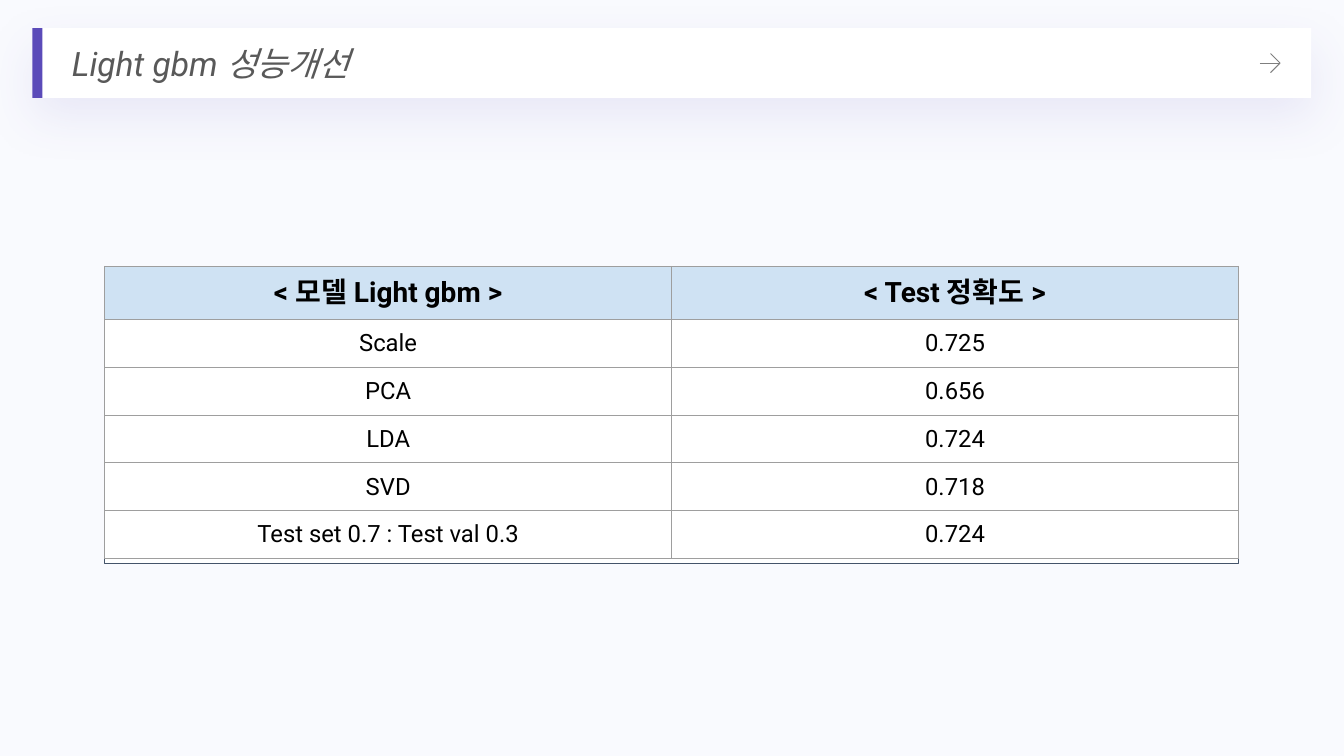
from lxml import etree
from pptx import Presentation
from pptx.dml.color import RGBColor
from pptx.enum.shapes import MSO_CONNECTOR, MSO_SHAPE
from pptx.enum.text import MSO_ANCHOR, MSO_AUTO_SIZE, PP_ALIGN
from pptx.oxml import parse_xml
from pptx.oxml.ns import nsdecls, qn
from pptx.util import Cm, Pt

RECTANGLE = MSO_SHAPE.RECTANGLE
STRAIGHT = MSO_CONNECTOR.STRAIGHT
MIDDLE = MSO_ANCHOR.MIDDLE
NO_AUTOFIT = MSO_AUTO_SIZE.NONE
LEFT, CENTER = PP_ALIGN.LEFT, PP_ALIGN.CENTER

FONT = "Roboto"
BACKGROUND = RGBColor(0xF9, 0xFA, 0xFE)
WHITE = RGBColor(0xFF, 0xFF, 0xFF)
BLACK = RGBColor(0x00, 0x00, 0x00)
PURPLE = RGBColor(0x5B, 0x4B, 0xB9)
TITLE_GRAY = RGBColor(0x59, 0x59, 0x59)
ARROW_GRAY = RGBColor(0x7F, 0x7F, 0x7F)
BORDER_GRAY = RGBColor(0x9E, 0x9E, 0x9E)
HEADER_BLUE = RGBColor(0xCF, 0xE2, 0xF3)
SLATE = RGBColor(0x44, 0x54, 0x6A)

RESULTS = [
    ("< 모델 Light gbm >", "< Test 정확도 >"),
    ("Scale", "0.725"),
    ("PCA", "0.656"),
    ("LDA", "0.724"),
    ("SVD", "0.718"),
    ("Test set 0.7 : Test val 0.3", "0.724"),
]


def write_text(frame, text, size, color=BLACK, bold=False, italic=False, align=CENTER):
    """Write one formatted paragraph into a text frame."""
    paragraph = frame.paragraphs[0]
    paragraph.alignment = align
    run = paragraph.add_run()
    run.text = text
    font = run.font
    font.name, font.size = FONT, Pt(size)
    font.bold, font.italic = bold, italic
    font.color.rgb = color
    etree.SubElement(run._r.get_or_add_rPr(), qn("a:ea"), typeface=FONT)
    return paragraph


def add_panel(slide, left, top, width, height, fill, line=None):
    """Add a flat rectangle, outlined when a line colour is given."""
    panel = slide.shapes.add_shape(RECTANGLE, left, top, width, height)
    panel.shadow.inherit = False
    panel.fill.solid()
    panel.fill.fore_color.rgb = fill
    if line is None:
        panel.line.fill.background()
    else:
        panel.line.color.rgb = line
        panel.line.width = Pt(0.75)


def add_arrow(slide, left, top, width, height):
    """Draw a thin right arrow, shaft and head grouped, inside the box."""
    group = slide.shapes.add_group_shape()
    right, middle = left + width, top + height // 2
    builder = group.shapes.build_freeform(right - height // 2, top)
    builder.add_line_segments([(right, middle), (right - height // 2, top + height)], close=False)
    head = builder.convert_to_shape()
    head.fill.background()
    head.shadow.inherit = False
    shaft = group.shapes.add_connector(STRAIGHT, left, middle, right, middle)
    etree.SubElement(shaft._element.spPr, qn("a:effectLst"))
    for stroke in (head, shaft):
        stroke.line.color.rgb = ARROW_GRAY
        stroke.line.width = Pt(0.75)


def add_title_bar(slide, text, left, top, width, height):
    """Turn the title placeholder into a shadowed bar with accent and arrow."""
    title = slide.shapes.title
    title.left, title.top, title.width, title.height = left, top, width, height
    title.fill.solid()
    title.fill.fore_color.rgb = WHITE
    title.line.fill.background()
    title.shadow.inherit = False
    title._element.spPr.find(qn("a:effectLst")).append(parse_xml(
        f'<a:outerShdw {nsdecls("a")} blurRad="{Pt(35)}" dist="{Pt(13)}" dir="5400000" '
        f'algn="t" rotWithShape="0"><a:srgbClr val="{PURPLE}">'
        '<a:alpha val="10000"/></a:srgbClr></a:outerShdw>'))
    frame = title.text_frame
    frame.auto_size = NO_AUTOFIT
    frame.word_wrap = True
    frame.vertical_anchor = MIDDLE
    paragraph = write_text(frame, text, 24, TITLE_GRAY, italic=True, align=LEFT)
    properties = paragraph._p.get_or_add_pPr()
    properties.set("marL", str(Cm(0.74)))
    properties.set("indent", "0")
    add_panel(slide, left, top, Cm(0.25), height, PURPLE)
    arrow_width, arrow_height = Cm(0.51), Cm(0.48)
    add_arrow(slide, left + width - Cm(0.78) - arrow_width,
              top + (height - arrow_height) // 2, arrow_width, arrow_height)


def set_borders(cell, color):
    """Give a table cell a thin border on all four sides."""
    properties = cell._tc.get_or_add_tcPr()
    for position, side in enumerate(("lnL", "lnR", "lnT", "lnB")):
        properties.insert(position, parse_xml(
            f'<a:{side} {nsdecls("a")} w="{Pt(0.75)}"><a:solidFill>'
            f'<a:srgbClr val="{color}"/></a:solidFill></a:{side}>'))


def add_results(slide, results, left, top, width, height):
    """Place the accuracy table over its header and body panels."""
    header_height = Cm(1.3)
    add_panel(slide, left, top + header_height, width, height - header_height, WHITE, SLATE)
    add_panel(slide, left, top, width, header_height, HEADER_BLUE, SLATE)
    row_height = Cm(1.07)
    table = slide.shapes.add_table(len(results), len(results[0]), left, top,
                                   width, row_height * len(results)).table
    table.first_row = table.horz_banding = False
    for row_index, values in enumerate(results):
        is_header = row_index == 0
        for column_index, value in enumerate(values):
            cell = table.cell(row_index, column_index)
            cell.margin_left = cell.margin_right = Cm(0.25)
            cell.margin_top = cell.margin_bottom = Cm(0.25)
            if is_header:
                cell.fill.solid()
                cell.fill.fore_color.rgb = HEADER_BLUE
            else:
                cell.fill.background()
            set_borders(cell, BORDER_GRAY)
            write_text(cell.text_frame, value, 20 if is_header else 17, bold=is_header)


def main():
    """Build the model performance slide."""
    deck = Presentation()
    deck.slide_width, deck.slide_height = Cm(33.87), Cm(19.05)
    slide = deck.slides.add_slide(deck.slide_layouts[5])
    slide.background.fill.solid()
    slide.background.fill.fore_color.rgb = BACKGROUND
    add_title_bar(slide, "Light gbm 성능개선", Cm(0.82), Cm(0.71), Cm(32.22), Cm(1.76))
    add_results(slide, RESULTS, Cm(2.64), Cm(6.71), Cm(28.57), Cm(7.49))
    deck.save("out.pptx")


if __name__ == "__main__":
    main()
